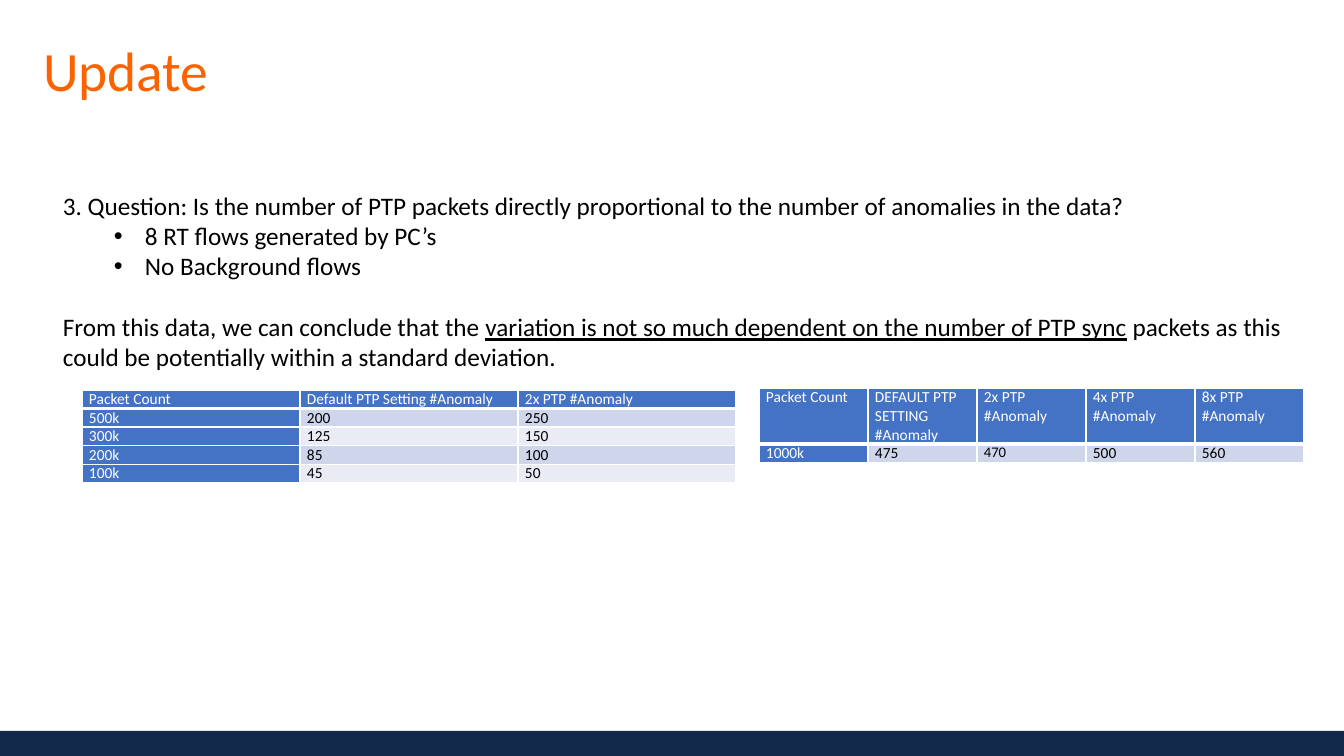
from lxml import etree
from pptx import Presentation
from pptx.dml.color import RGBColor
from pptx.enum.shapes import MSO_SHAPE
from pptx.enum.text import MSO_ANCHOR, MSO_AUTO_SIZE, PP_ALIGN
from pptx.oxml.ns import qn
from pptx.util import Pt

RECT = MSO_SHAPE.RECTANGLE
MIDDLE, TOP = MSO_ANCHOR.MIDDLE, MSO_ANCHOR.TOP
NO_FIT = MSO_AUTO_SIZE.NONE
LEFT = PP_ALIGN.LEFT

SCALE = 914400 / 100.8
WIDE, HIGH = 1344, 756
FACE = "Calibri"
COLORS = {"title": "FA6300", "text": "000000", "bar": "12294B",
          "head": "4472C4", "odd": "CFD5EA", "even": "E9EBF5",
          "white": "FFFFFF"}

COUNTS = [
    ["Packet Count", "Default PTP Setting #Anomaly", "2x PTP #Anomaly"],
    ["500k", "200", "250"],
    ["300k", "125", "150"],
    ["200k", "85", "100"],
    ["100k", "45", "50"],
]
RATES = [
    ["Packet Count", "DEFAULT PTP SETTING #Anomaly", "2x PTP\n#Anomaly",
     "4x PTP\n#Anomaly", "8x PTP\n#Anomaly"],
    ["1000k", "475", "470", "500", "560"],
]

# Each paragraph: kind, then runs of (text, underlined)
LINES = [
    ("plain", [("3. Question: Is the number of PTP packets directly "
                "proportional to the number of anomalies in the data?", False)]),
    ("bullet", [("8 RT flows generated by PC’s", False)]),
    ("bullet", [("No Background flows", False)]),
    ("apart", [("From this data, we can conclude that the ", False),
               ("variation is not so much dependent on the number of "
                "PTP sync", True),
               (" packets as this could be potentially within a standard "
                "deviation.", False)]),
]


def px(n):
    return round(n * SCALE)


def rgb(name):
    return RGBColor.from_string(COLORS[name])


def assign(item, values):
    for key, value in values.items():
        setattr(item, key, value)


def style(font, size, color, **more):
    assign(font, {"name": FACE, "size": Pt(size), **more})
    font.color.rgb = rgb(color)


def paint(shape, color):
    shape.fill.solid()
    shape.fill.fore_color.rgb = rgb(color)


def add_bar(slide, box):
    bar = slide.shapes.add_shape(RECT, *map(px, box))
    paint(bar, "bar")
    bar.line.fill.background()
    bar.shadow.inherit = False


def set_title(slide, box):
    title = slide.shapes.title
    assign(title, dict(zip(("left", "top", "width", "height"), map(px, box))))
    frame = title.text_frame
    frame.text = "Update"
    assign(frame, {"vertical_anchor": MIDDLE, "auto_size": NO_FIT,
                   "word_wrap": True})
    para = frame.paragraphs[0]
    assign(para, {"alignment": LEFT, "line_spacing": 0.9})
    style(para.runs[0].font, 39.6, "title")


def add_bullet(para):
    props = para._p.get_or_add_pPr()
    props.set("marL", str(px(82)))
    props.set("indent", str(px(-31)))
    etree.SubElement(props, qn("a:buFont"), typeface="Arial")
    etree.SubElement(props, qn("a:buChar"), char="•")


def add_body(slide, box):
    frame = slide.shapes.add_textbox(*map(px, box)).text_frame
    assign(frame, {"word_wrap": True, "vertical_anchor": TOP})
    for i, (kind, runs) in enumerate(LINES):
        para = frame.add_paragraph() if i else frame.paragraphs[0]
        if kind == "bullet":
            add_bullet(para)
        elif kind == "apart":
            para.space_before = Pt(22)
        for text, under in runs:
            run = para.add_run()
            run.text = text
            style(run.font, 18, "text", underline=under)


def add_edges(cell, base):
    # Borders come before the fill in the cell properties
    props = cell._tc.get_or_add_tcPr()
    for i, side in enumerate(("lnL", "lnR", "lnT", "lnB")):
        width = Pt(base if side == "lnB" else 1)
        edge = etree.Element(qn("a:" + side), w=str(width))
        fill = etree.SubElement(edge, qn("a:solidFill"))
        etree.SubElement(fill, qn("a:srgbClr"), val=COLORS["white"])
        props.insert(i, edge)


def fill_cell(cell, text, row, col):
    head = row == 0 or col == 0
    cell.text = text
    assign(cell, {"margin_left": px(7), "margin_right": px(7),
                  "margin_top": 0, "margin_bottom": 0,
                  "vertical_anchor": TOP})
    paint(cell, "head" if head else "odd" if row % 2 else "even")
    add_edges(cell, 3 if row == 0 else 1)
    size = 10.5 if text == "470" else 11
    for para in cell.text_frame.paragraphs:
        style(para.runs[0].font, size, "white" if head else "text", bold=False)


def add_grid(slide, box, data, heights):
    left, top, width = box
    cols = len(data[0])
    area = map(px, (left, top, width, sum(heights)))
    table = slide.shapes.add_table(len(data), cols, *area).table
    for col in table.columns:
        col.width = px(width / cols)
    for r, (line, high) in enumerate(zip(data, heights)):
        table.rows[r].height = px(high)
        for c, text in enumerate(line):
            fill_cell(table.cell(r, c), text, r, c)


def main():
    deck = Presentation()
    assign(deck, {"slide_width": px(WIDE), "slide_height": px(HIGH)})
    slide = deck.slides.add_slide(deck.slide_layouts[5])
    add_bar(slide, (0, 731, WIDE, 25))
    set_title(slide, (33, 50, 1277, 47))
    add_body(slide, (53, 185, 1250, 195))
    # Result tables
    add_grid(slide, (82, 390, 654), COUNTS, [18] * 5)
    add_grid(slide, (759, 388, 545), RATES, [56, 19])
    deck.save("out.pptx")


if __name__ == "__main__":
    main()
